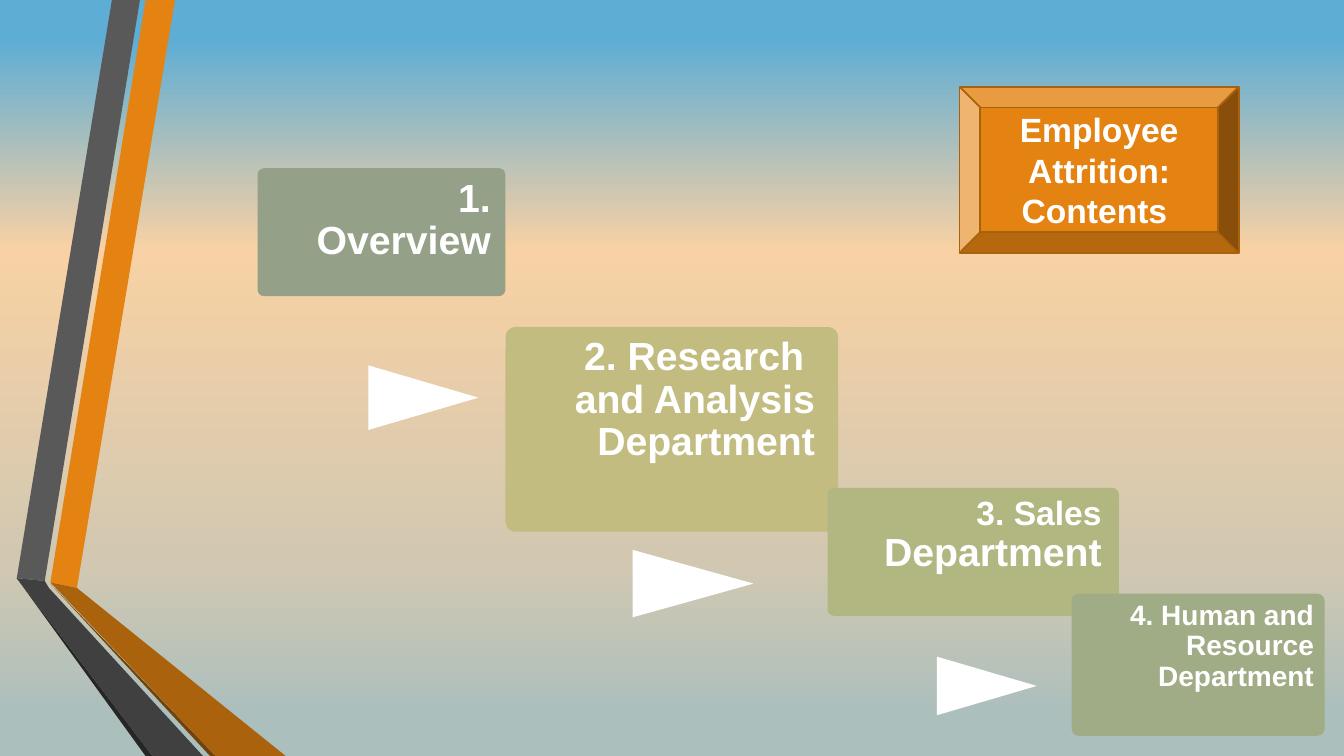
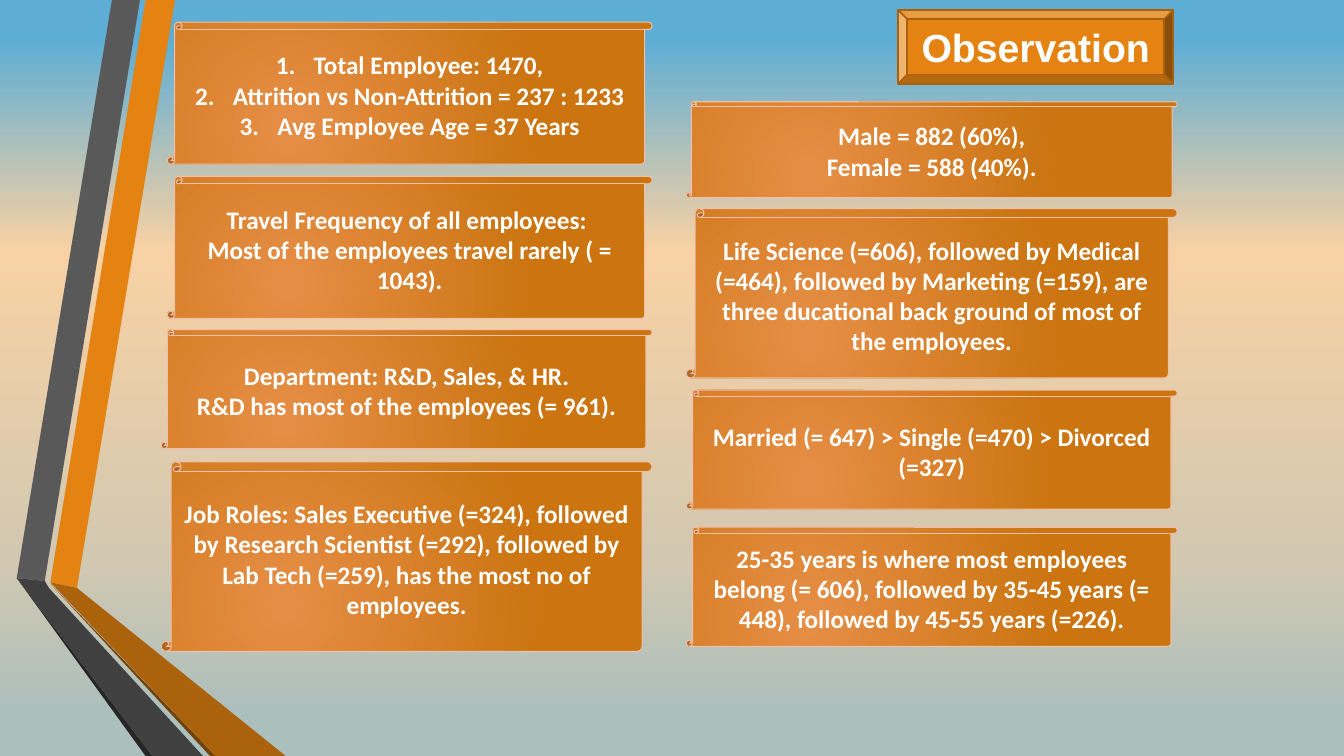
from pptx import Presentation
from pptx import util as u
from pptx.dml.color import RGBColor
from pptx.enum import shapes, text
from pptx.oxml import parse_xml
from pptx.oxml.ns import nsdecls

SLIDE_SIZE = (960, 540)
WHITE, ORANGE, BEVEL_EDGE, SCROLL_EDGE = "FFFFFF", "E48312", "A9610D", "EFC1AB"
SKY_STOPS = [(5, "5DADD5"), (33, "F8D1A4"), (74, "D2C8B1"), (95, "ABBFBD")]
SKY_DIRECTION = '<a:lin ang="5400000" scaled="0"/>'
SCROLL_STOPS = [(0, "E68E46"), (100, "CB7410")]
SCROLL_DIRECTION = ('<a:path path="circle"><a:fillToRect l="50000" t="100000" '
                    'r="100000" b="50000"/></a:path>')

RIBBONS = [
    (ORANGE, [(36, 416.2), (55.4, 419.8), (124.6, 0), (104.4, 0)]),
    ("595959", [(100, 0), (80, 0), (11.7, 412.6), (31.7, 415.4)]),
    ("262626", [(11.7, 412.6), (104.4, 540), (108.7, 540)]),
    ("724209", [(36, 416.9), (149.8, 540), (154.1, 540)]),
    ("AB620D", [(36, 416.2), (154.1, 540), (203.8, 540), (55.4, 419.8)]),
    ("404040", [(145.4, 540), (34.6, 419.8), (31.7, 415.4), (11.7, 412.6), (108.7, 540)]),
]

CONTENTS_TITLE = ("Employee Attrition: Contents ", 24, (685.4, 61.9, 199.4, 118.8))
OBSERVATION_TITLE = ("Observation", 28, (641.5, 7.2, 196.6, 52.6))

STEPS = [
    {"box": (184, 120.2, 177, 91.4), "fill": "94A088", "insets": (31, 6, 9),
     "runs": [("1. Overview", 28)]},
    {"box": (361.1, 233.6, 237.6, 146.2), "fill": "C2BC80", "insets": (41, 5, 14.5),
     "runs": [("2. Research  and Analysis Department", 28)]},
    {"box": (591.1, 348.5, 208.1, 91.4), "fill": "B2B782", "insets": (37, 5, 11),
     "runs": [("3. Sales ", 24), ("Department", 28)]},
    {"box": (765.4, 424.1, 180.7, 101.5), "fill": "A0AC85", "insets": (31, 4, 6),
     "runs": [("4. Human and Resource Department", 20)]},
]
ARROWS = [(279.4, 244.8, 46.1, 78.5), (470.9, 373.7, 48.2, 86.4), (684, 454.3, 41.8, 71.3)]

LEFT_EDGE, RIGHT_EDGE = 465.8, 840.9
SCROLLS = [
    (119.5, LEFT_EDGE, 15.8, 101.5, True,
     ["Total Employee: 1470,", "Attrition vs Non-Attrition = 237 : 1233",
      "Avg Employee Age = 37 Years"]),
    (119.5, LEFT_EDGE, 126, 101.5, False,
     ["Travel Frequency of all employees: ",
      "Most of the employees travel rarely ( = 1043)."]),
    (115.2, LEFT_EDGE, 235.4, 85, False,
     ["Department: R&D, Sales, & HR.", "R&D has most of the employees (= 961)."]),
    (115.2, LEFT_EDGE, 329.8, 135.4, False,
     ["Job Roles: Sales Executive (=324), followed by Research Scientist (=292), "
      "followed by Lab Tech (=259), has the most no of employees."]),
    (490.3, RIGHT_EDGE, 72.7, 68.4, False, ["Male = 882 (60%),", "Female = 588 (40%)."]),
    (490.3, RIGHT_EDGE, 149, 121, False,
     ["Life Science (=606), followed by Medical (=464), followed by Marketing (=159), "
      "are three ducational back ground of most of the employees."]),
    (490.3, RIGHT_EDGE, 278.6, 85, False,
     ["Married (= 647) > Single (=470) > Divorced (=327)"]),
    (490.3, RIGHT_EDGE, 376.6, 85, False,
     ["25-35 years is where most employees belong (= 606), followed by 35-45 years (= 448), "
      "followed by 45-55 years (=226)."]),
]


def color(value):
    return RGBColor.from_string(value)


def set_gradient(solid_fill, stops, direction):
    stop_xml = "".join(f'<a:gs pos="{position * 1000}"><a:srgbClr val="{value}"/></a:gs>'
                       for position, value in stops)
    gradient = parse_xml(f'<a:gradFill {nsdecls("a")} rotWithShape="1">'
                         f'<a:gsLst>{stop_xml}</a:gsLst>{direction}</a:gradFill>')
    solid_fill.getparent().replace(solid_fill, gradient)


def paint(shape, fill, edge=None, edge_width=1):
    shape.shadow.inherit = False
    shape.fill.solid()
    shape.fill.fore_color.rgb = color(fill)
    if edge:
        shape.line.color.rgb = color(edge)
        shape.line.width = u.Pt(edge_width)
    else:
        shape.line.fill.background()


def add_shape(slide, kind, box, fill, edge=None, edge_width=1):
    shape = slide.shapes.add_shape(kind, *map(u.Pt, box))
    paint(shape, fill, edge, edge_width)
    return shape


def style_font(font, size, name):
    font.name, font.size, font.bold = name, u.Pt(size), True
    font.color.rgb = color(WHITE)


def set_insets(frame, left, top, right, bottom):
    frame.margin_left, frame.margin_top = u.Pt(left), u.Pt(top)
    frame.margin_right, frame.margin_bottom = u.Pt(right), u.Pt(bottom)


def decorate_master(presentation, slide):
    master = presentation.slide_master
    master.background.fill.solid()
    set_gradient(master.element.xpath("./p:cSld/p:bg//a:solidFill")[0], SKY_STOPS, SKY_DIRECTION)
    for number, (fill, points) in enumerate(RIBBONS):
        builder = slide.shapes.build_freeform(*points[0], scale=u.Pt(1))
        builder.add_line_segments(points[1:], close=True)
        ribbon = builder.convert_to_shape()
        paint(ribbon, fill)
        ribbon.element.xpath("./p:nvSpPr/p:cNvPr")[0].set("id", str(100 + number))
        master.shapes.element.insert(2 + number, ribbon.element)


def add_title(slide, words, size, box):
    bevel = add_shape(slide, shapes.MSO_SHAPE.BEVEL, box, ORANGE, BEVEL_EDGE, 1.25)
    title = slide.shapes.title
    title.element.addprevious(bevel.element)
    left, top, width, height = box
    rim = min(width, height) / 8
    title.left, title.top = u.Pt(left + rim), u.Pt(top + rim)
    title.width, title.height = u.Pt(width - 2 * rim), u.Pt(height - 2 * rim)
    frame = title.text_frame
    frame.text = words
    frame.word_wrap = True
    frame.auto_size = text.MSO_AUTO_SIZE.NONE
    frame.vertical_anchor = text.MSO_ANCHOR.MIDDLE
    set_insets(frame, 0, 0, 0, 0)
    paragraph = frame.paragraphs[0]
    paragraph.alignment = text.PP_ALIGN.CENTER
    style_font(paragraph.font, size, "Arial")


def add_step(slide, step):
    card = add_shape(slide, shapes.MSO_SHAPE.ROUNDED_RECTANGLE, step["box"], step["fill"])
    card.adjustments[0] = 0.05
    frame = card.text_frame
    frame.word_wrap = True
    frame.vertical_anchor = text.MSO_ANCHOR.TOP
    set_insets(frame, *step["insets"], 0)
    paragraph = frame.paragraphs[0]
    paragraph.alignment = text.PP_ALIGN.RIGHT
    paragraph.line_spacing = 0.9
    for words, size in step["runs"]:
        run = paragraph.add_run()
        run.text = words
        style_font(run.font, size, "Arial")


def number_paragraph(paragraph):
    properties = paragraph._p.get_or_add_pPr()
    properties.set("marL", str(u.Pt(27)))
    properties.set("indent", str(-u.Pt(27)))
    bullet = parse_xml(f'<a:buAutoNum {nsdecls("a")} type="arabicPeriod"/>')
    properties.insert_element_before(bullet, "a:tabLst", "a:defRPr", "a:extLst")


def add_scroll(slide, left, right, top, height, numbered, lines):
    scroll = add_shape(slide, shapes.MSO_SHAPE.VERTICAL_SCROLL,
                       (left, top, right - left, height), ORANGE, SCROLL_EDGE, 0.75)
    scroll.adjustments[0] = 0.052
    set_gradient(scroll.element.xpath("./p:spPr/a:solidFill")[0], SCROLL_STOPS, SCROLL_DIRECTION)
    frame = scroll.text_frame
    frame.text = "\n".join(lines)
    frame.word_wrap = True
    frame.vertical_anchor = text.MSO_ANCHOR.MIDDLE
    for paragraph in frame.paragraphs:
        paragraph.alignment = text.PP_ALIGN.CENTER
        style_font(paragraph.font, 18, "Calibri")
        if numbered:
            number_paragraph(paragraph)


def main():
    presentation = Presentation()
    presentation.slide_width, presentation.slide_height = map(u.Pt, SLIDE_SIZE)
    title_only = presentation.slide_layouts[5]

    contents = presentation.slides.add_slide(title_only)
    decorate_master(presentation, contents)
    add_title(contents, *CONTENTS_TITLE)
    for step in STEPS:
        add_step(contents, step)
    for box in ARROWS:
        arrow = add_shape(contents, shapes.MSO_SHAPE.FLOWCHART_EXTRACT, box, WHITE)
        arrow.rotation = 90

    observation = presentation.slides.add_slide(title_only)
    add_title(observation, *OBSERVATION_TITLE)
    for scroll in SCROLLS:
        add_scroll(observation, *scroll)

    presentation.save("out.pptx")


if __name__ == "__main__":
    main()
